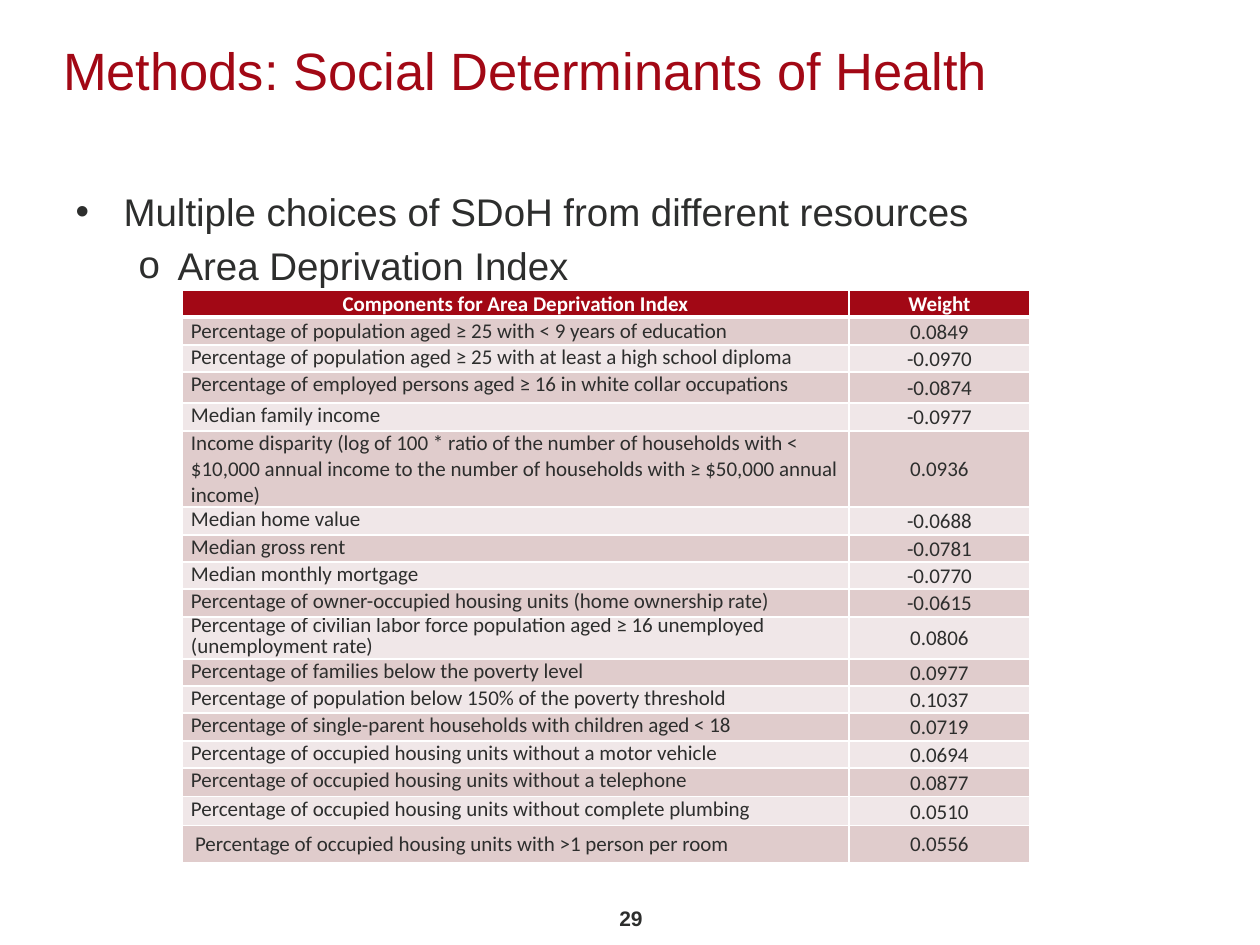
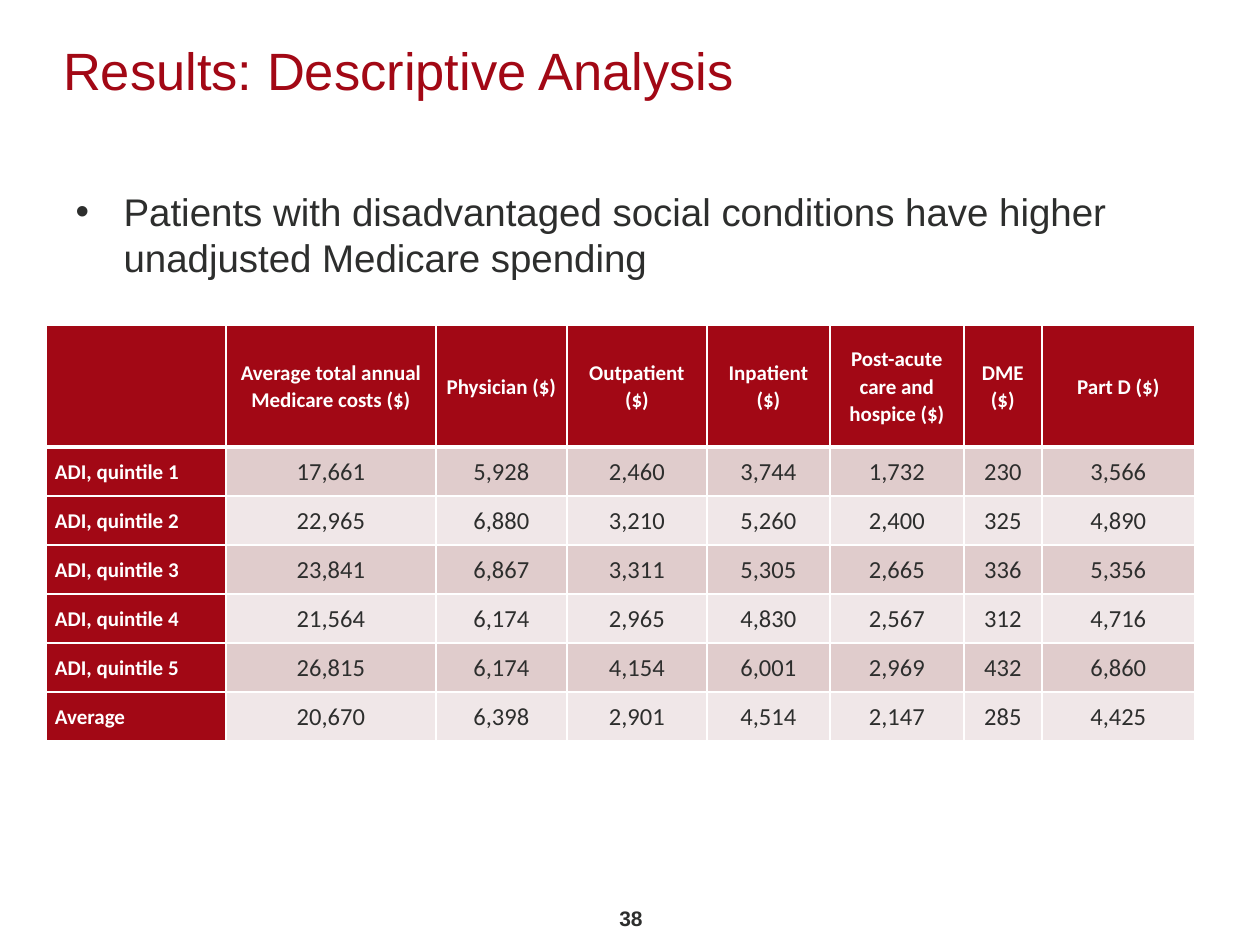
"""Build two slides on the Area Deprivation Index and Medicare spending."""
from dataclasses import dataclass

from lxml.etree import SubElement
from pptx import Presentation
from pptx.dml.color import RGBColor as Rgb
from pptx.enum.text import MSO_ANCHOR as Anchor, MSO_AUTO_SIZE as AutoSize, PP_ALIGN as Align
from pptx.oxml.ns import qn
from pptx.util import Pt

PX = 7257


@dataclass(frozen=True)
class Theme:
    red: Rgb = Rgb.from_string("A20815")
    ink: Rgb = Rgb.from_string("2D2E2D")
    white: Rgb = Rgb.from_string("FFFFFF")
    dark_band: Rgb = Rgb.from_string("E0CCCC")
    light_band: Rgb = Rgb.from_string("F0E7E8")
    text_font: str = "Arial"
    table_font: str = "Calibri"
    title_size: int = 30
    body_size: int = 22
    small_size: int = 12
    figure_size: int = 14
    thin_line: int = 1
    header_line: int = 3


def set_values(target, values):
    for name, value in values.items():
        setattr(target, name, value)


def write(paragraph, text, font, size, color, bold=False, **layout):
    set_values(paragraph, layout)
    run = paragraph.add_run()
    run.text = text
    set_values(run.font, {"name": font, "size": Pt(size), "bold": bold})
    run.font.color.rgb = color


theme = Theme()
title_box = {"left": 63 * PX, "top": 38 * PX, "width": 1134 * PX, "height": 130 * PX}
body_box = {"left": 63 * PX, "top": 182 * PX, "width": 1133 * PX, "height": 719 * PX}
title_frame = {"margin_left": 0, "margin_top": 0, "vertical_anchor": Anchor.TOP,
               "word_wrap": True, "auto_size": AutoSize.NONE}
body_frame = {"vertical_anchor": Anchor.TOP, "word_wrap": True, "auto_size": AutoSize.NONE}
number_frame = {"vertical_anchor": Anchor.MIDDLE, "word_wrap": True}
tight_cell = {"margin_left": 9 * PX, "margin_right": 9 * PX, "margin_top": 0, "margin_bottom": 0}
roomy_cell = {"margin_left": 13 * PX, "margin_right": 13 * PX,
              "margin_top": 6 * PX, "margin_bottom": 6 * PX}
bullets = [("•", 48, -48), ("o", 102, -39)]

deprivation_rows = [
    ("Components for Area Deprivation Index", "Weight"),
    ("Percentage of population aged ≥ 25 with < 9 years of education", "0.0849"),
    ("Percentage of population aged ≥ 25 with at least a high school diploma", "-0.0970"),
    ("Percentage of employed persons aged ≥ 16 in white collar occupations", "-0.0874"),
    ("Median family income", "-0.0977"),
    ("Income disparity (log of 100 * ratio of the number of households with < $10,000 annual "
     "income to the number of households with ≥ $50,000 annual income)", "0.0936"),
    ("Median home value", "-0.0688"),
    ("Median gross rent", "-0.0781"),
    ("Median monthly mortgage", "-0.0770"),
    ("Percentage of owner-occupied housing units (home ownership rate)", "-0.0615"),
    ("Percentage of civilian labor force population aged ≥ 16 unemployed (unemployment rate)",
     "0.0806"),
    ("Percentage of families below the poverty level", "0.0977"),
    ("Percentage of population below 150% of the poverty threshold", "0.1037"),
    ("Percentage of single-parent households with children aged < 18", "0.0719"),
    ("Percentage of occupied housing units without a motor vehicle", "0.0694"),
    ("Percentage of occupied housing units without a telephone", "0.0877"),
    ("Percentage of occupied housing units without complete plumbing", "0.0510"),
    ("Percentage of occupied housing units with >1 person per room", "0.0556"),
]
spending_rows = [
    ("", "Average total annual Medicare costs ($)", "Physician ($)", "Outpatient ($)",
     "Inpatient ($)", "Post-acute care and hospice ($)", "DME ($)", "Part D ($)"),
    ("ADI, quintile 1", "17,661", "5,928", "2,460", "3,744", "1,732", "230", "3,566"),
    ("ADI, quintile 2", "22,965", "6,880", "3,210", "5,260", "2,400", "325", "4,890"),
    ("ADI, quintile 3", "23,841", "6,867", "3,311", "5,305", "2,665", "336", "5,356"),
    ("ADI, quintile 4", "21,564", "6,174", "2,965", "4,830", "2,567", "312", "4,716"),
    ("ADI, quintile 5", "26,815", "6,174", "4,154", "6,001", "2,969", "432", "6,860"),
    ("Average", "20,670", "6,398", "2,901", "4,514", "2,147", "285", "4,425"),
]
pages = [
    {"number": "29", "title": "Methods: Social Determinants of Health",
     "body": [("Multiple choices of SDoH from different resources", 0),
              ("Area Deprivation Index", 1)],
     "rows": deprivation_rows, "left": 182, "top": 290, "columns": [667, 181],
     "heights": [27, 28, 27, 31, 28, 76, 28, 27, 27, 28, 42, 27, 27, 28, 27, 29, 29, 37],
     "label_spacing": [1.07] * 2 + [1.0] * 8 + [Pt(12)] + [1.0] * 7,
     "label_anchor": Anchor.TOP, "red_labels": False,
     "figure_size": theme.small_size, "roomy_row": 17},
    {"number": "38", "title": "Results: Descriptive Analysis",
     "body": [("Patients with disadvantaged social conditions have higher unadjusted "
               "Medicare spending", 0)],
     "rows": spending_rows, "left": 46, "top": 325,
     "columns": [180, 210, 131, 140, 123, 134, 78, 153],
     "heights": [122] + [49] * 6, "label_spacing": [1.07] * 7,
     "label_anchor": Anchor.MIDDLE, "red_labels": True,
     "figure_size": theme.figure_size, "roomy_row": None},
]

presentation = Presentation()
set_values(presentation, {"slide_width": 1260 * PX, "slide_height": 945 * PX})

for page in pages:
    slide = presentation.slides.add_slide(presentation.slide_layouts[1])
    title, body = slide.shapes.title, slide.placeholders[1]
    set_values(title, title_box)
    set_values(title.text_frame, title_frame)
    write(title.text_frame.paragraphs[0], page["title"], theme.text_font, theme.title_size,
          theme.red, alignment=Align.LEFT)

    set_values(body, body_box)
    set_values(body.text_frame, body_frame)
    for index, (text, level) in enumerate(page["body"]):
        paragraph = body.text_frame.add_paragraph() if index else body.text_frame.paragraphs[0]
        symbol, margin, indent = bullets[level]
        properties = paragraph._p.get_or_add_pPr()
        properties.set("marL", str(margin * PX))
        properties.set("indent", str(indent * PX))
        SubElement(properties, qn("a:buFont"), typeface=theme.text_font)
        SubElement(properties, qn("a:buChar"), char=symbol)
        write(paragraph, text, theme.text_font, theme.body_size, theme.ink,
              level=level, space_before=Pt(4.4 if index else 0))

    number = slide.shapes.add_textbox(595 * PX, 893 * PX, 72 * PX, 50 * PX)
    set_values(number.text_frame, number_frame)
    write(number.text_frame.paragraphs[0], page["number"], theme.text_font, theme.small_size,
          theme.ink, bold=True, alignment=Align.CENTER)

    rows, columns, heights = page["rows"], page["columns"], page["heights"]
    table = slide.shapes.add_table(len(rows), len(columns), page["left"] * PX, page["top"] * PX,
                                   sum(columns) * PX, sum(heights) * PX).table
    set_values(table, {"first_row": False, "horz_banding": False})
    for column, width in zip(table.columns, columns):
        column.width = width * PX
    for row_index, (texts, height) in enumerate(zip(rows, heights)):
        table.rows[row_index].height = height * PX
        is_header, is_roomy = row_index == 0, row_index == page["roomy_row"]
        band = theme.dark_band if row_index % 2 else theme.light_band
        for column_index, text in enumerate(texts):
            cell = table.cell(row_index, column_index)
            is_label = column_index == 0
            is_red = is_header or (is_label and page["red_labels"])
            top_anchored = is_header or is_label
            set_values(cell, roomy_cell if is_roomy else tight_cell)
            cell.vertical_anchor = page["label_anchor"] if top_anchored else Anchor.MIDDLE
            line_widths = {"L": theme.thin_line, "R": theme.thin_line,
                           "T": theme.header_line if row_index == 1 else theme.thin_line,
                           "B": theme.header_line if is_header else theme.thin_line}
            for side, width in line_widths.items():
                line = SubElement(cell._tc.get_or_add_tcPr(), qn(f"a:ln{side}"), w=str(Pt(width)))
                SubElement(SubElement(line, qn("a:solidFill")), qn("a:srgbClr"),
                           val=str(theme.white))
            cell.fill.solid()
            cell.fill.fore_color.rgb = theme.red if is_red else band
            if text:
                figure_spacing = 1.0 if is_roomy else 1.07
                write(cell.text_frame.paragraphs[0], text, theme.table_font,
                      theme.small_size if is_header or is_label else page["figure_size"],
                      theme.white if is_red else theme.ink, bold=is_red,
                      alignment=Align.LEFT if is_label and not is_header else Align.CENTER,
                      line_spacing=page["label_spacing"][row_index] if is_label
                      else figure_spacing)

presentation.save("out.pptx")
